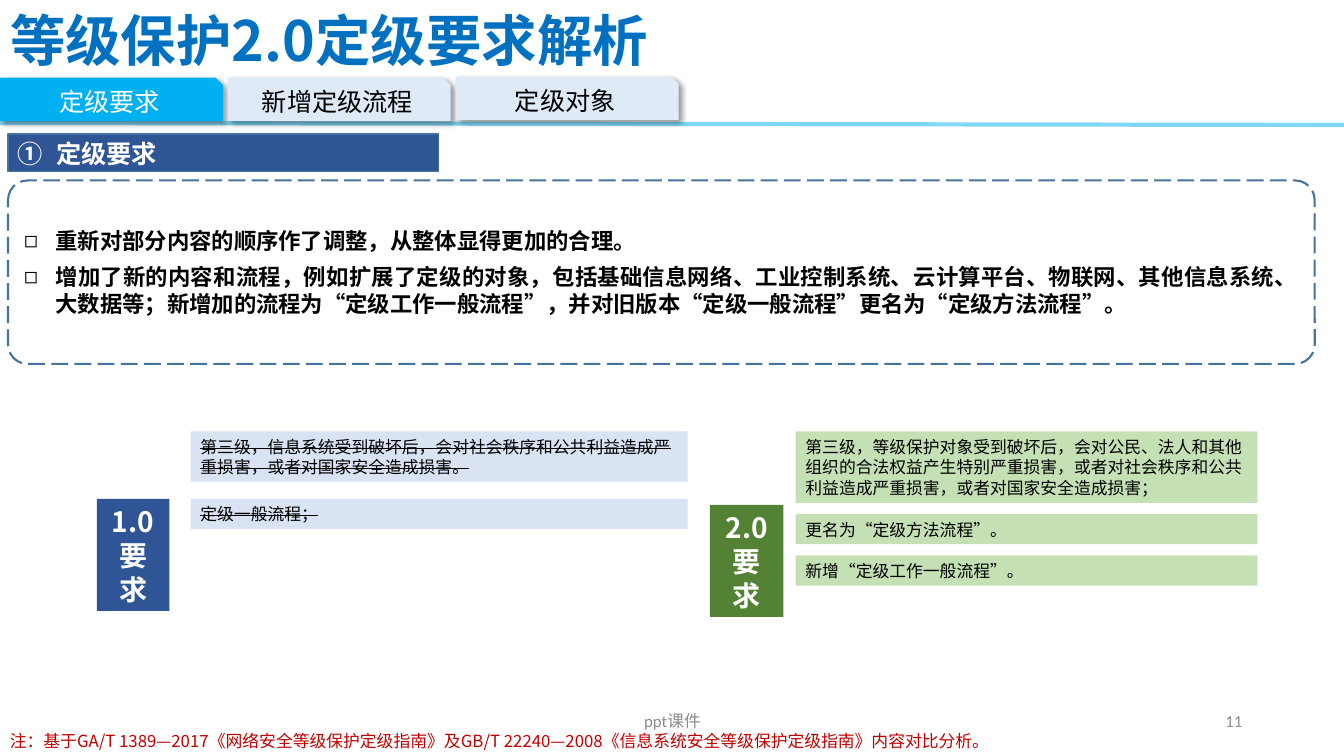
from dataclasses import dataclass, replace

from lxml import etree
from pptx import Presentation
from pptx.dml.color import RGBColor
from pptx.enum.dml import MSO_LINE
from pptx.enum.shapes import MSO_CONNECTOR, MSO_SHAPE
from pptx.enum.text import MSO_ANCHOR, MSO_AUTO_SIZE, PP_ALIGN
from pptx.oxml.ns import qn
from pptx.util import Inches, Pt

RECT = MSO_SHAPE.RECTANGLE
SNIPPED = MSO_SHAPE.SNIP_1_RECTANGLE
ROUNDED = MSO_SHAPE.ROUNDED_RECTANGLE
STRAIGHT = MSO_CONNECTOR.STRAIGHT
LONG_DASH = MSO_LINE.LONG_DASH
TOP, MIDDLE = MSO_ANCHOR.TOP, MSO_ANCHOR.MIDDLE
LEFT, CENTER, RIGHT, JUSTIFY = PP_ALIGN.LEFT, PP_ALIGN.CENTER, PP_ALIGN.RIGHT, PP_ALIGN.JUSTIFY
NO_RESIZE = MSO_AUTO_SIZE.NONE

BLACK = RGBColor(0x00, 0x00, 0x00)
WHITE = RGBColor(0xFF, 0xFF, 0xFF)
GRAY = RGBColor(0x8C, 0x8C, 0x8C)
RED = RGBColor(0xC0, 0x00, 0x00)
TITLE_BLUE = RGBColor(0x00, 0x70, 0xC0)
SKY = RGBColor(0x00, 0xB0, 0xF0)
PALE_TAB = RGBColor(0xDE, 0xEB, 0xF7)
NAVY = RGBColor(0x2F, 0x55, 0x97)
OUTLINE = RGBColor(0x43, 0x73, 0x9E)
PALE_BLUE = RGBColor(0xDA, 0xE3, 0xF3)
GREEN = RGBColor(0x54, 0x82, 0x35)
PALE_GREEN = RGBColor(0xC5, 0xE0, 0xB4)

CJK = "Noto Sans CJK SC"
LATIN = "Calibri"
LINE_HEIGHT = 1.22


@dataclass(frozen=True)
class Style:
    size: float
    color: RGBColor = BLACK
    bold: bool = False
    strike: bool = False
    font: str = CJK
    align: PP_ALIGN = LEFT
    anchor: MSO_ANCHOR = TOP
    space_after: float = 0


@dataclass(frozen=True)
class Area:
    left: float
    top: float
    width: float
    height: float

    def lengths(self) -> tuple:
        return tuple(Inches(v) for v in (self.left, self.top, self.width, self.height))


@dataclass(frozen=True)
class Panel:
    area: Area
    fill: RGBColor
    style: Style
    paragraphs: tuple[str, ...]
    outline: MSO_SHAPE = RECT


TAB = Style(18, align=CENTER, anchor=MIDDLE)
CLAUSE = Style(12)
VERSION = Style(20, WHITE, bold=True, align=CENTER)
FOOTER = Style(12, GRAY, font=LATIN, align=CENTER, anchor=MIDDLE)


def write(frame, paragraphs: tuple[str, ...], style: Style) -> None:
    frame.word_wrap = True
    frame.auto_size = NO_RESIZE
    frame.vertical_anchor = style.anchor
    for index, text in enumerate(paragraphs):
        paragraph = frame.paragraphs[0] if index == 0 else frame.add_paragraph()
        paragraph.alignment = style.align
        paragraph.line_spacing = Pt(round(style.size * LINE_HEIGHT, 1))
        paragraph.space_before = Pt(0)
        paragraph.space_after = Pt(style.space_after)
        run = paragraph.add_run()
        run.text = text
        run.font.size = Pt(style.size)
        run.font.bold = style.bold
        run.font.color.rgb = style.color
        run.font.name = style.font
        properties = run.font._element
        etree.SubElement(properties, qn("a:ea")).set("typeface", CJK)
        if style.strike:
            properties.set("strike", "sngStrike")


def add_bullets(frame, tag: str, attribute: str, value: str, indent: float) -> None:
    for paragraph in frame.paragraphs:
        properties = paragraph._p.get_or_add_pPr()
        properties.set("marL", str(Inches(indent)))
        properties.set("indent", str(-Inches(indent)))
        etree.SubElement(properties, qn(tag)).set(attribute, value)


def add_panel(slide, panel: Panel):
    shape = slide.shapes.add_shape(panel.outline, *panel.area.lengths())
    shape.shadow.inherit = False
    shape.fill.solid()
    shape.fill.fore_color.rgb = panel.fill
    shape.line.fill.background()
    write(shape.text_frame, panel.paragraphs, panel.style)
    return shape


def add_text(slide, area: Area, text: str, style: Style) -> None:
    write(slide.shapes.add_textbox(*area.lengths()).text_frame, (text,), style)


def fill_placeholder(placeholder, area: Area, paragraphs: tuple[str, ...], style: Style) -> None:
    placeholder.left, placeholder.top, placeholder.width, placeholder.height = area.lengths()
    write(placeholder.text_frame, paragraphs, style)


def cast_shadow(shape) -> None:
    effects = shape._element.spPr.find(qn("a:effectLst"))
    shadow = etree.SubElement(effects, qn("a:outerShdw"), blurRad=str(Pt(4)), dist=str(Pt(3)),
                              dir=str(45 * 60000), algn="tl", rotWithShape="0")
    color = etree.SubElement(shadow, qn("a:srgbClr"), val=str(BLACK))
    etree.SubElement(color, qn("a:alpha"), val="40000")


def add_tab_rule(slide) -> None:
    rule = slide.shapes.add_connector(STRAIGHT, Inches(0), Inches(1.22), Inches(13.33), Inches(1.24))
    rule.line.color.rgb = SKY
    rule.line.width = Pt(3)
    properties = rule._element.spPr
    etree.SubElement(next(properties.iter(qn("a:srgbClr"))), qn("a:alpha"), val="50000")
    etree.SubElement(properties, qn("a:effectLst"))


def add_tabs(slide) -> None:
    tabs = (("定级要求", 0.77, SKY, WHITE), ("新增定级流程", 0.77, PALE_TAB, BLACK),
            ("定级对象", 0.76, PALE_TAB, BLACK))
    for index, (label, top, fill, color) in enumerate(tabs):
        area = Area(2.26 * index, top, 2.21, 0.43)
        cast_shadow(add_panel(slide, Panel(area, fill, replace(TAB, color=color), (label,), SNIPPED)))


def add_summary(slide) -> None:
    heading = add_panel(slide, Panel(Area(0.08, 1.33, 4.27, 0.37), NAVY,
                                     Style(18, WHITE, bold=True, align=JUSTIFY, anchor=MIDDLE), ("定级要求",)))
    heading.line.color.rgb = OUTLINE
    heading.line.width = Pt(1)
    add_bullets(heading.text_frame, "a:buAutoNum", "type", "circleNumDbPlain", 0.38)

    border = slide.shapes.add_shape(ROUNDED, *Area(0.08, 1.79, 12.96, 1.82).lengths())
    border.adjustments[0] = 0.106
    border.shadow.inherit = False
    border.fill.background()
    border.line.color.rgb = OUTLINE
    border.line.width = Pt(1.5)
    border.line.dash_style = LONG_DASH

    changes = slide.placeholders[1]
    fill_placeholder(changes, Area(0.14, 1.85, 12.84, 1.7), (
        "重新对部分内容的顺序作了调整，从整体显得更加的合理。",
        "增加了新的内容和流程，例如扩展了定级的对象，包括基础信息网络、工业控制系统、云计算平台、物联网、其他信息系统、大数据等；新增加的流程为“定级工作一般流程”，并对旧版本“定级一般流程”更名为“定级方法流程”。",
    ), Style(16, bold=True, align=JUSTIFY, anchor=MIDDLE, space_after=6))
    add_bullets(changes.text_frame, "a:buChar", "char", "◻", 0.31)


def add_comparison(slide) -> None:
    old_clause = replace(CLAUSE, strike=True)
    panels = (
        Panel(Area(0.96, 4.95, 0.72, 1.11), NAVY, VERSION, ("1.0", "要求")),
        Panel(Area(1.89, 4.28, 4.93, 0.5), PALE_BLUE, old_clause,
              ("第三级，信息系统受到破坏后，会对社会秩序和公共利益造成严重损害，或者对国家安全造成损害。",)),
        Panel(Area(1.89, 4.95, 4.93, 0.3), PALE_BLUE, old_clause, ("定级一般流程；",)),
        Panel(Area(7.04, 5.01, 0.73, 1.11), GREEN, VERSION, ("2.0", "要求")),
        Panel(Area(7.89, 4.28, 4.58, 0.71), PALE_GREEN, replace(CLAUSE, font=LATIN),
              ("第三级，等级保护对象受到破坏后，会对公民、法人和其他组织的合法权益产生特别严重损害，或者对社会秩序和公共利益造成严重损害，或者对国家安全造成损害；",)),
        Panel(Area(7.89, 5.1, 4.58, 0.3), PALE_GREEN, CLAUSE, ("更名为“定级方法流程”。",)),
        Panel(Area(7.89, 5.51, 4.58, 0.3), PALE_GREEN, CLAUSE, ("新增“定级工作一般流程”。",)),
    )
    for panel in panels:
        add_panel(slide, panel)


def main() -> None:
    deck = Presentation()
    deck.slide_width, deck.slide_height = Inches(13.33), Inches(7.5)
    slide = deck.slides.add_slide(deck.slide_layouts[1])
    fill_placeholder(slide.shapes.title, Area(0, 0.01, 8.61, 0.75), ("等级保护2.0定级要求解析",),
                     Style(39.6, TITLE_BLUE, bold=True, align=JUSTIFY, anchor=MIDDLE))
    add_tab_rule(slide)
    add_tabs(slide)
    add_summary(slide)
    add_comparison(slide)
    add_text(slide, Area(0, 7.2, 12, 0.3),
             "注：基于GA/T 1389—2017《网络安全等级保护定级指南》及GB/T 22240—2008《信息系统安全等级保护定级指南》内容对比分析。",
             Style(12, RED))
    add_text(slide, Area(9.42, 6.95, 3, 0.4), "11", replace(FOOTER, align=RIGHT))
    add_text(slide, Area(4.42, 6.95, 4.5, 0.4), "ppt课件", FOOTER)
    deck.save("out.pptx")


if __name__ == "__main__":
    main()
